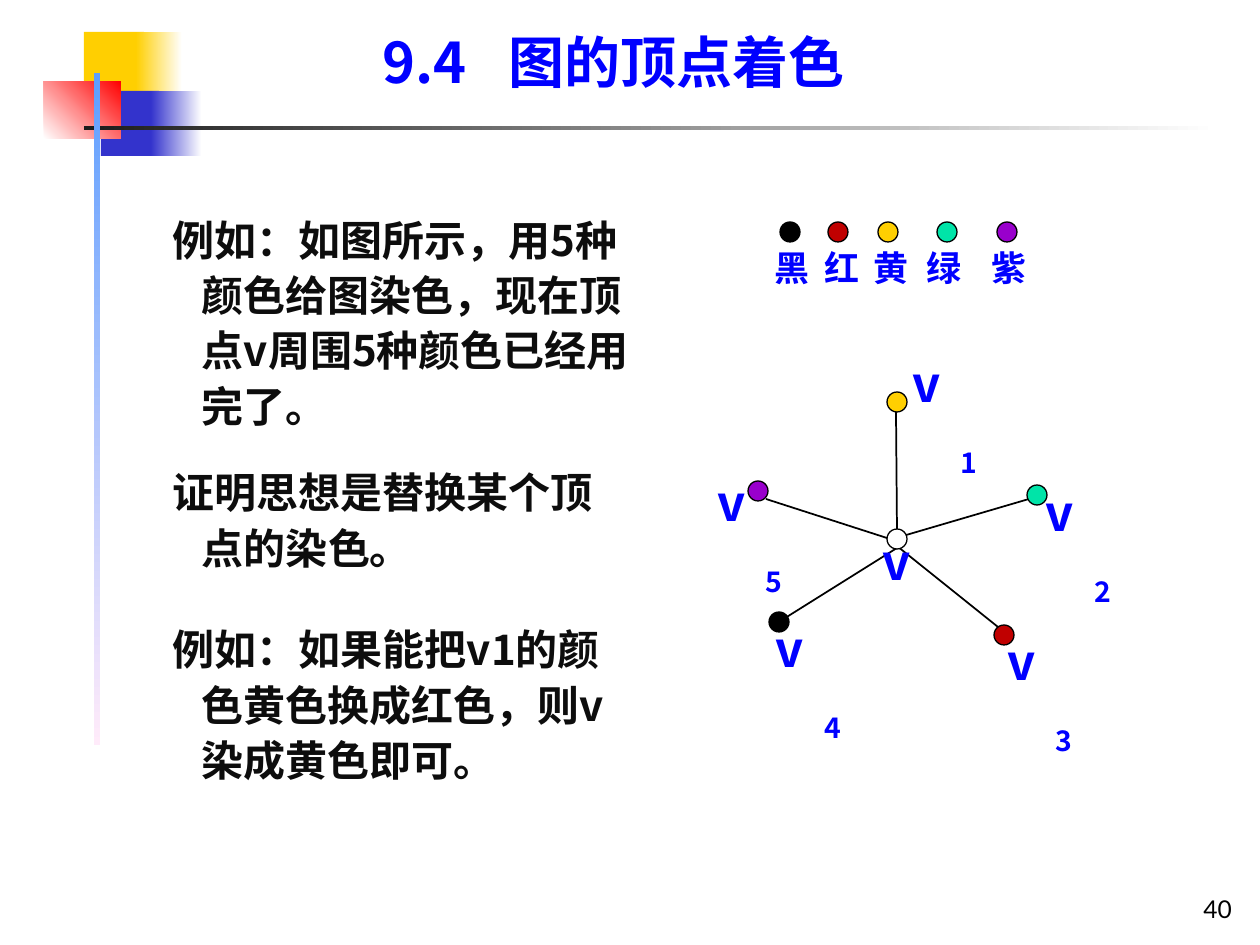
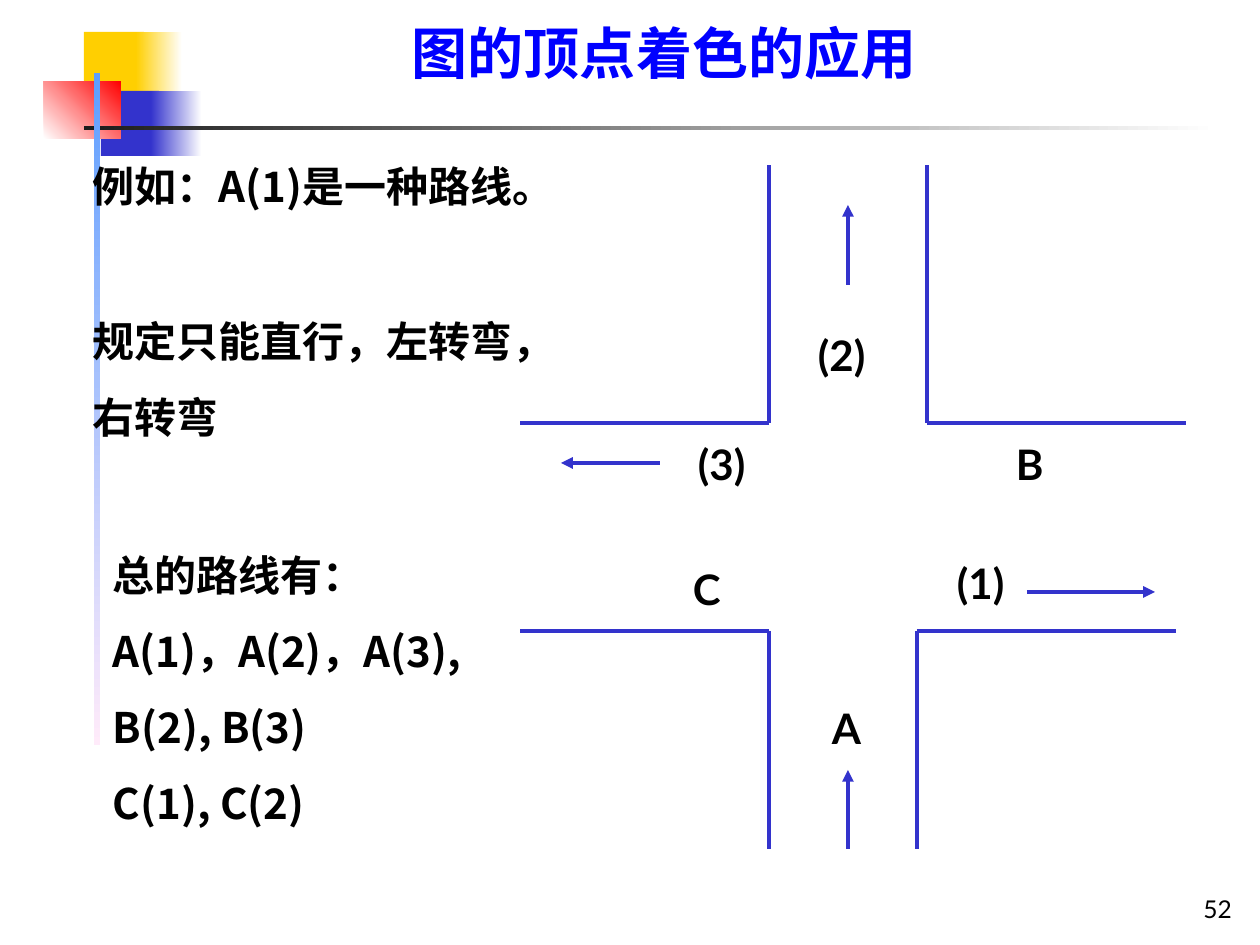
"""Build two slides on vertex colouring: a worked example and a crossroads application."""
from dataclasses import dataclass

from lxml import etree
from pptx import Presentation
from pptx import util as u
from pptx.dml.color import RGBColor
from pptx.enum import shapes, text
from pptx.oxml import ns

PX = u.Inches(10) / 1260


@dataclass(frozen=True)
class Style:
    """Hold the look of one kind of text."""
    size: int
    color: str
    font: str = "Noto Sans CJK SC"
    bold: bool = True
    spacing: float = 1.0
    before: int = 0


class Theme:
    """Hold the colours and type sizes of the deck."""
    BLACK, WHITE, BLUE = "000000", "FFFFFF", "0000FF"
    YELLOW, GREEN, PURPLE, RED = "FFCF01", "00E4A8", "9900CC", "C00000"
    INDIGO, BRIGHT_RED, CHARCOAL = "3333CC", "FF0000", "1C1C1C"
    SKY, PINK = "5E9EFF", "FFEBFA"
    TITLE = Style(32, BLUE, spacing=0.9)
    BODY = Style(24, "0D0D0D", spacing=1.1)
    ROUTES = Style(24, BLACK, spacing=1.3, before=6)
    VERTEX = Style(28, BLUE, spacing=0.9)
    LEGEND = Style(20, BLUE, spacing=0.9)
    ROAD_LABEL = Style(24, BLACK, font="Lato")
    NUMBER = Style(14, BLACK, font="Lato", bold=False)


HANG, FIRST_LINE, DOT = 48, 19, 20


def emu(*lengths):
    """Turn px lengths into EMU."""
    return [u.Emu(round(length * PX)) for length in lengths]


def child(parent, tag, **attributes):
    """Append a DrawingML element to a parent."""
    return etree.SubElement(parent, ns.qn(tag), **attributes)


def format_run(run, style):
    """Apply a text style to a run, for Latin and East Asian letters alike."""
    font = run.font
    font.size, font.bold, font.name = u.Pt(style.size), style.bold, style.font
    font.color.rgb = RGBColor.from_string(style.color)
    child(run._r.get_or_add_rPr(), "a:ea", typeface=style.font)


def write(shape, lines, style, margin=0, first=0, subscript="", tab=0,
          insets=(0, 0), wrap=True, align=text.PP_ALIGN.LEFT, anchor=text.MSO_ANCHOR.TOP):
    """Fill a shape with paragraphs in one style."""
    frame = shape.text_frame
    frame.text = "\n".join(lines)
    frame.word_wrap, frame.vertical_anchor = wrap, anchor
    frame.auto_size = text.MSO_AUTO_SIZE.NONE
    frame.margin_left, frame.margin_top = emu(*insets)
    frame.margin_right, frame.margin_bottom = emu(*insets)
    for index, paragraph in enumerate(frame.paragraphs):
        properties = paragraph._p.get_or_add_pPr()
        left, indent, stop = emu(margin, first - margin, tab)
        properties.set("marL", str(left))
        properties.set("indent", str(indent))
        if tab:
            child(child(properties, "a:tabLst"), "a:tab", pos=str(stop), algn="l")
        paragraph.alignment, paragraph.line_spacing = align, style.spacing
        paragraph.space_before = u.Pt(style.before if index else 0)
        if subscript:
            run = paragraph.add_run()
            run.text = subscript
            run._r.get_or_add_rPr().set("baseline", "-25000")
        for run in paragraph.runs:
            format_run(run, style)


def add_text(slide, box, lines, style, **options):
    """Add a text box in a px box."""
    write(slide.shapes.add_textbox(*emu(*box)), lines, style, **options)


def add_block(slide, box, start, end=None, angle=0):
    """Add a borderless rectangle with a plain or a gradient fill."""
    block = slide.shapes.add_shape(shapes.MSO_SHAPE.RECTANGLE, *emu(*box))
    block.shadow.inherit = False
    block.line.fill.background()
    if end is None:
        block.fill.solid()
        block.fill.fore_color.rgb = RGBColor.from_string(start)
        return
    block.fill.gradient()
    block.fill.gradient_angle = angle
    for stop, color in zip(block.fill.gradient_stops, (start, end)):
        stop.color.rgb = RGBColor.from_string(color)


def add_dot(slide, left, top, color):
    """Add one outlined vertex circle."""
    dot = slide.shapes.add_shape(shapes.MSO_SHAPE.OVAL, *emu(left, top, DOT, DOT))
    dot.shadow.inherit = False
    dot.fill.solid()
    dot.fill.fore_color.rgb = RGBColor.from_string(color)
    dot.line.color.rgb = RGBColor.from_string(Theme.BLACK)
    dot.line.width = u.Pt(0.75)


def add_line(slide, start, end, color, width, arrow=False):
    """Add a straight line, with an arrowhead at its end if wanted."""
    line = slide.shapes.add_connector(shapes.MSO_CONNECTOR.STRAIGHT, *emu(*start, *end))
    line.line.color.rgb = RGBColor.from_string(color)
    line.line.width = u.Pt(width)
    if arrow:
        child(line.line._get_or_add_ln(), "a:tailEnd", type="triangle")
    child(line._element.spPr, "a:effectLst")


def add_decoration(slide, left, top):
    """Add the coloured blocks and the two fading rules."""
    blocks = (
        ((40, 0, 60, 66), Theme.YELLOW),
        ((92, 0, 46, 66), Theme.YELLOW, Theme.WHITE),
        ((57, 59, 58, 65), Theme.INDIGO),
        ((107, 59, 51, 65), Theme.INDIGO, Theme.WHITE),
        ((0, 49, 77, 58), Theme.WHITE, Theme.BRIGHT_RED, 45),
        ((40, 94, 1134, 4), Theme.CHARCOAL, Theme.WHITE),
        ((50, 41, 6, 672), Theme.SKY, Theme.PINK, 270),
    )
    for (x, y, width, height), *fill in blocks:
        add_block(slide, (left + x, top + y, width, height), *fill)


def start_slide(presentation, title, title_box, number, tab=0):
    """Start a slide with the shared decoration, title style and slide number."""
    slide = presentation.slides.add_slide(presentation.slide_layouts[5])
    add_decoration(slide, 44, 32)
    heading = slide.shapes.title
    heading.left, heading.top, heading.width, heading.height = emu(*title_box)
    write(heading, [title], Theme.TITLE, tab=tab)
    add_text(slide, (983, 866, 262, 63), [number], Theme.NUMBER, insets=(13, 6),
             align=text.PP_ALIGN.RIGHT, anchor=text.MSO_ANCHOR.BOTTOM)
    return slide


def add_legend(slide, left, top):
    """Add the row of five named colours."""
    entries = (
        ("黑", Theme.BLACK, 6, 0), ("红", Theme.RED, 54, 50), ("黄", Theme.YELLOW, 104, 99),
        ("绿", Theme.GREEN, 163, 153), ("紫", Theme.PURPLE, 223, 218),
    )
    for name, color, dot_x, name_x in entries:
        add_dot(slide, left + dot_x, top, color)
        add_text(slide, (left + name_x, top + 29, 44, 38), [name], Theme.LEGEND)


def add_graph(slide, left, top):
    """Add the star graph of v and its five coloured neighbours."""
    vertices = (
        ("", Theme.WHITE, (170, 169), (165, 178), None),
        ("1", Theme.YELLOW, (170, 32), (195, 0), ((179, 51), (180, 169))),
        ("2", Theme.GREEN, (310, 125), (329, 129), ((179, 178), (329, 134))),
        ("3", Theme.RED, (277, 265), (290, 278), ((170, 178), (281, 267))),
        ("4", Theme.BLACK, (52, 252), (59, 265), ((180, 188), (57, 265))),
        ("5", Theme.PURPLE, (31, 121), (0, 119), ((49, 139), (170, 178))),
    )
    for *_, edge in vertices:
        if edge:
            ends = [(left + x, top + y) for x, y in edge]
            add_line(slide, *ends, Theme.BLACK, 1)
    for index, color, (dot_x, dot_y), (label_x, label_y), _ in vertices:
        add_dot(slide, left + dot_x, top + dot_y, color)
        add_text(slide, (left + label_x, top + label_y, 42, 113), ["v"], Theme.VERTEX,
                 margin=HANG, subscript=index)


def add_crossroads(slide, left, top):
    """Add the kerbs, driving directions and names of the crossroads."""
    corners = (((249, 258), 0, 0), ((407, 258), 666, 0),
               ((249, 466), 0, 684), ((397, 466), 656, 684))
    arrows = (((328, 120), (328, 40)), ((140, 298), (41, 298)),
              ((507, 427), (635, 427)), ((328, 684), (328, 605)))
    labels = (("A", 299, 532), ("B", 483, 268), ("C", 160, 393),
              ("(2)", 285, 159), ("(3)", 165, 268), ("(1)", 424, 387))
    lines = [(corner, end, False) for corner, side, far in corners
             for end in ((side, corner[1]), (corner[0], far))]
    lines += [(start, end, True) for start, end in arrows]
    for (x1, y1), (x2, y2), arrow in lines:
        add_line(slide, (left + x1, top + y1), (left + x2, top + y2),
                 Theme.INDIGO, 2.25, arrow)
    for name, x, y in labels:
        width = 77 if len(name) > 1 else 53
        add_text(slide, (left + x, top + y, width, 63), [name], Theme.ROAD_LABEL,
                 insets=(13, 6), wrap=False)


def build_example(presentation):
    """Build the slide on recolouring around v."""
    slide = start_slide(presentation, "9.4\t图的顶点着色", (382, 35, 525, 60), "40", tab=122)
    passages = (
        (209, 476, 222, "例如：如图所示，用5种颜色给图染色，现在顶点v周围5种颜色已经用完了。"),
        (462, 446, 111, "证明思想是替换某个顶点的染色。"),
        (619, 456, 166, "例如：如果能把v1的颜色黄色换成红色，则v染成黄色即可。"),
    )
    for top, width, height, passage in passages:
        add_text(slide, (154, top, width, height), [passage], Theme.BODY,
                 margin=HANG, first=FIRST_LINE)
    add_legend(slide, 774, 222)
    add_graph(slide, 717, 360)


def build_application(presentation):
    """Build the slide on routes through a crossroads."""
    slide = start_slide(presentation, "图的顶点着色的应用", (412, 26, 525, 60), "52")
    add_crossroads(slide, 520, 165)
    passages = (
        ((74, 145, 556, 65), FIRST_LINE, ["例如：A(1)是一种路线。"]),
        ((74, 300, 556, 141), FIRST_LINE, ["规定只能直行，左转弯，", "右转弯"]),
        ((113, 534, 367, 359), 0,
         ["总的路线有：", "A(1)，A(2)，A(3),", "B(2), B(3)", "C(1), C(2)"]),
    )
    for box, first, lines in passages:
        add_text(slide, box, lines, Theme.ROUTES, margin=HANG, first=first)


def main():
    """Build and save the deck."""
    presentation = Presentation()
    presentation.slide_width, presentation.slide_height = emu(1260, 945)
    build_example(presentation)
    build_application(presentation)
    presentation.save("out.pptx")


if __name__ == "__main__":
    main()
